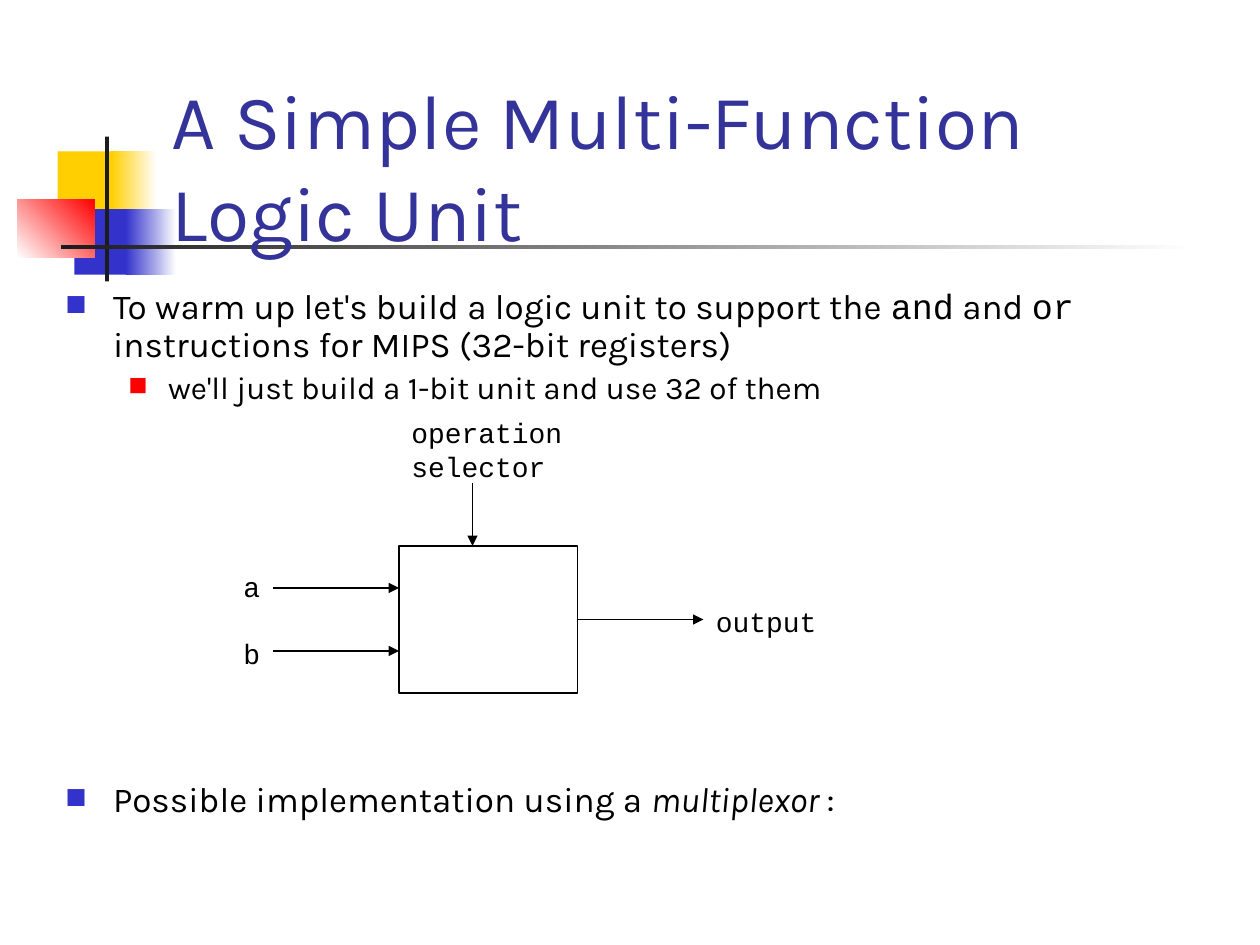
from lxml.etree import SubElement as Sub
from pptx import Presentation
from pptx.dml.color import RGBColor
from pptx.enum.shapes import MSO_CONNECTOR as Conn, MSO_SHAPE as Shape
from pptx.enum.text import MSO_ANCHOR as Anchor
from pptx.oxml.ns import qn
from pptx.util import Pt

SANS, MONO = "Karla", "Courier New"
BLACK, WHITE, DARK = "000000", "FFFFFF", "1C1C1C"
GOLD, BLUE, RED, NAVY = "FFCF01", "3333CC", "FF0000", "333399"


def paint(color, code):
    """Set a colour format from a hex string."""
    color.rgb = RGBColor.from_string(code)


def style(font, size, face, code=BLACK):
    """Set size, typeface and colour of a font."""
    font.size, font.name = Pt(size), face
    paint(font.color, code)


def block(slide, box, first=None, last=None, angle=0):
    """Add a rectangle with no fill, a solid fill or a gradient."""
    rect = slide.shapes.add_shape(Shape.RECTANGLE, *map(Pt, box))
    rect.shadow.inherit = False
    if last:
        rect.fill.gradient()
        rect.fill.gradient_angle = angle
        for stop, code in zip(rect.fill.gradient_stops, (first, last)):
            paint(stop.color, code)
    elif first:
        rect.fill.solid()
        paint(rect.fill.fore_color, first)
    else:
        rect.fill.background()
    rect.line.fill.background()
    return rect


def arrow(slide, *ends):
    """Add a thin black arrow from x, y to x, y."""
    line = slide.shapes.add_connector(Conn.STRAIGHT, *map(Pt, ends))
    line.line.width = Pt(0.75)
    paint(line.line.color, BLACK)
    Sub(line.line._get_or_add_ln(), qn("a:tailEnd"), type="triangle")
    Sub(line._element.spPr, qn("a:effectLst"))


def frame(slide, box):
    """Add a wrapping text box and return its frame."""
    text = slide.shapes.add_textbox(*map(Pt, box)).text_frame
    text.word_wrap = True
    return text


def label(slide, box, *lines):
    """Add a monospaced label, one paragraph a line."""
    text = frame(slide, box)
    text.text = "\n".join(lines)
    for para in text.paragraphs:
        style(para.font, 16, MONO)


def bullet(para, runs, size, code, left, hang, gap=0, level=0):
    """Fill a paragraph with runs behind a square bullet."""
    para.level = level
    props = para._p.get_or_add_pPr()
    props.set("marL", str(Pt(left)))
    props.set("indent", str(Pt(-hang)))
    para.line_spacing, para.space_before = 0.9, Pt(gap)
    Sub(Sub(props, qn("a:buClr")), qn("a:srgbClr"), val=code)
    Sub(props, qn("a:buFont"), typeface=MONO)
    Sub(props, qn("a:buChar"), char="■")
    for words, face, slant in runs:
        run = para.add_run()
        run.text = words
        style(run.font, size, face)
        run.font.italic = slant


def motif(slide):
    """Draw the coloured squares and the cross of rules."""
    block(slide, (33, 86.5, 34.5, 37.5), GOLD)
    block(slide, (63.5, 86.5, 26, 37.5), GOLD, WHITE)
    block(slide, (42.5, 119.5, 33, 37.5), BLUE)
    block(slide, (72, 119.5, 28.8, 37.5), BLUE, WHITE)
    block(slide, (10, 113.8, 44, 33.2), WHITE, RED, 45)
    block(slide, (60, 78, 2.3, 82.8), DARK)
    block(slide, (34.8, 140.2, 648, 2.3), DARK, WHITE)


def body(slide):
    """Write the bulleted text."""
    text = frame(slide, (30.5, 162, 612, 324))
    intro = [
        ("To warm up let's build a logic unit to support the ", SANS, False),
        ("and", MONO, False),
        (" and ", SANS, False),
        ("or", MONO, False),
        (" instructions for MIPS (32-bit registers)", SANS, False),
    ]
    note = [("we'll just build a 1-bit unit and use 32 of them", SANS, False)]
    close = [
        ("Possible implementation using a ", SANS, False),
        ("multiplexor ", SANS, True),
        (":", SANS, False),
    ]
    bullet(text.paragraphs[0], intro, 20, BLUE, 27, 27)
    bullet(text.add_paragraph(), note, 18, RED, 58.5, 22.5, 4, 1)
    bullet(text.add_paragraph(), close, 20, BLUE, 27, 27, 215)


def title(slide):
    """Write the slide title."""
    text = frame(slide, (91, 49, 613.5, 90))
    text.vertical_anchor = Anchor.MIDDLE
    text.text = "A Simple Multi-Function Logic Unit"
    style(text.paragraphs[0].font, 44, SANS, NAVY)


def unit(slide):
    """Draw the logic unit with its inputs, selector and output."""
    rect = block(slide, (228, 312, 102, 84))
    paint(rect.line.color, BLACK)
    rect.line.width = Pt(0.75)
    for y in (336, 372):
        arrow(slide, 156, y, 228, y)
    arrow(slide, 330, 354, 402, 354)
    arrow(slide, 270, 276, 270, 312)
    label(slide, (132, 322, 24.5, 26.5), "a")
    label(slide, (132, 360, 24.5, 26.5), "b")
    label(slide, (402, 342, 72, 26.5), "output")
    label(slide, (228, 234, 101, 46), "operation", "selector")


def main():
    """Build and save the slide."""
    deck = Presentation()
    deck.slide_width, deck.slide_height = Pt(720), Pt(540)
    slide = deck.slides.add_slide(deck.slide_layouts[6])
    for draw in (motif, body, title, unit):
        draw(slide)
    deck.save("out.pptx")


if __name__ == "__main__":
    main()
